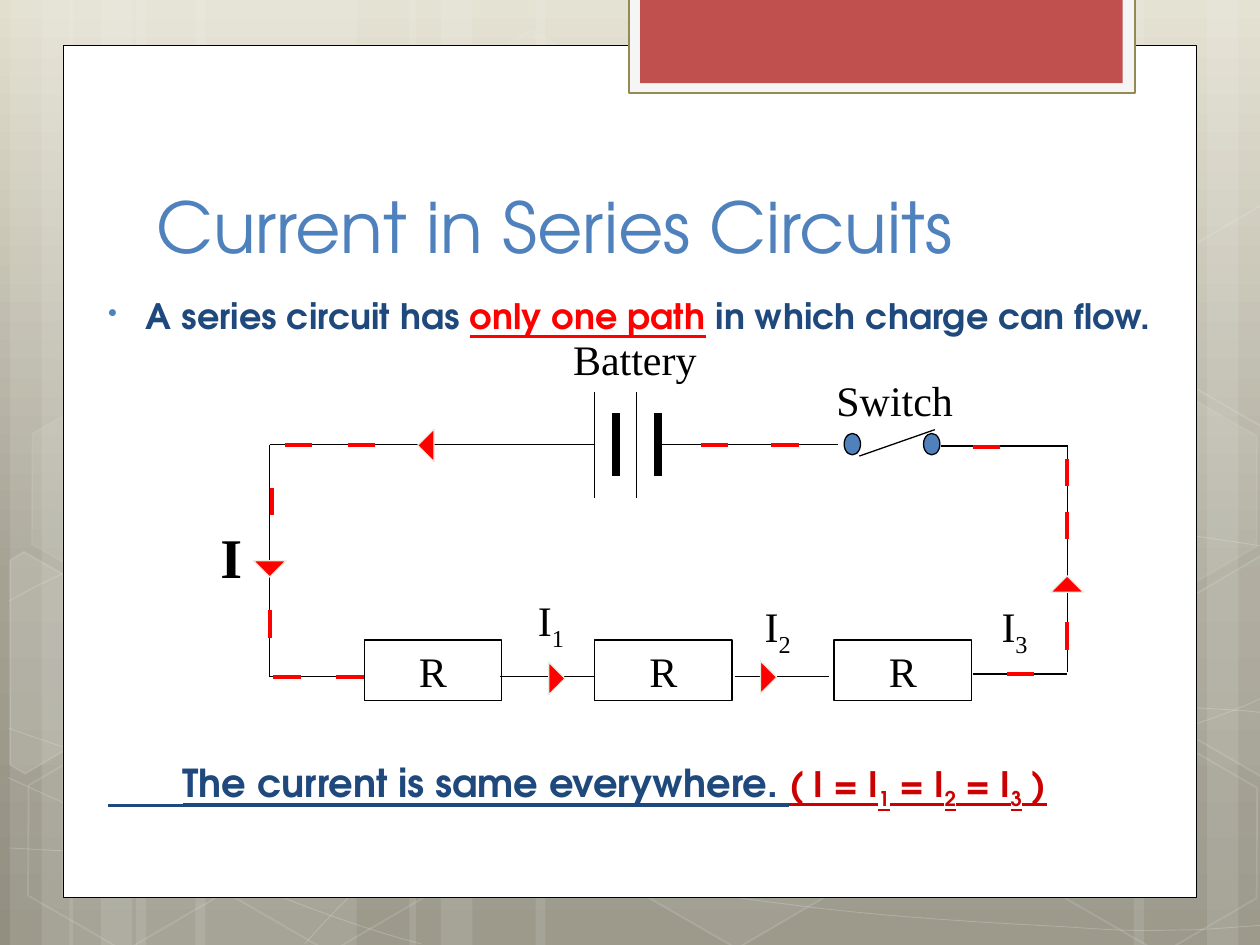
from copy import deepcopy
from pptx import Presentation
from pptx.dml.color import RGBColor
from pptx.enum.shapes import MSO_CONNECTOR, MSO_SHAPE
from pptx.enum.text import MSO_ANCHOR, PP_ALIGN
from pptx.oxml.ns import qn
from pptx.util import Inches, Pt
from lxml import etree

WHITE = RGBColor(0xFF, 0xFF, 0xFF)
BLACK = RGBColor(0, 0, 0)
RED = RGBColor(0xFF, 0, 0)
DARK_RED = RGBColor(0xCC, 0, 0)
BRICK = RGBColor(0xC0, 0x50, 0x4D)
BLUE = RGBColor(0x4F, 0x81, 0xBD)
NAVY = RGBColor(0x1F, 0x49, 0x7D)
OFF_WHITE = RGBColor(0xF5, 0xF5, 0xF5)
OLIVE = RGBColor(0x94, 0x8A, 0x54)
CREAM = RGBColor(0xEE, 0xEC, 0xE1)
SKY = [(0, RGBColor(0xE2, 0xDF, 0xCF)), (62, RGBColor(0xA5, 0xA2, 0x93)),
       (100, RGBColor(0x92, 0x8F, 0x80))]
SANS, SERIF = "TeX Gyre Adventor", "Times New Roman"


def set_alpha(fill, percent):
    clr = fill._xPr.find(".//" + qn("a:srgbClr"))
    etree.SubElement(clr, qn("a:alpha")).set("val", str(percent * 1000))


def paint(sp, fill=None, line=None, width=0.75, fill_alpha=100, line_alpha=100):
    sp.shadow.inherit = False
    for part, color, alpha in ((sp.fill, fill, fill_alpha), (sp.line.fill, line, line_alpha)):
        if color is None:
            part.background()
            continue
        part.solid()
        part.fore_color.rgb = color
        if alpha < 100:
            set_alpha(part, alpha)
    if line is not None:
        sp.line.width = Pt(width)
    return sp


def add_shape(s, kind, x, y, w, h, rotation=0, **look):
    sp = s.shapes.add_shape(kind, Inches(x), Inches(y), Inches(w), Inches(h))
    sp.rotation = rotation
    return paint(sp, **look)


def add_line(s, x1, y1, x2, y2, color=BLACK, width=0.75):
    c = s.shapes.add_connector(MSO_CONNECTOR.STRAIGHT, Inches(x1), Inches(y1),
                               Inches(x2), Inches(y2))
    c.line.color.rgb = color
    c.line.width = Pt(width)
    etree.SubElement(c._element.spPr, qn("a:effectLst"))


def add_outline(s, points, close=False, **look):
    pts = [(Inches(a), Inches(b)) for a, b in points]
    fb = s.shapes.build_freeform(*pts[0])
    fb.add_line_segments(pts[1:], close=close)
    return paint(fb.convert_to_shape(), **look)


def add_curve(s, points, **look):
    """Draw chained cubics: a start, then three points for each piece."""
    sp = add_outline(s, points, **look)
    segments = list(sp._element.iter(qn("a:lnTo")))
    for i in range(0, len(segments), 3):
        bend = etree.Element(qn("a:cubicBezTo"))
        segments[i].addprevious(bend)
        for seg in segments[i:i + 3]:
            bend.append(seg[0])
            seg.getparent().remove(seg)


def add_run(p, text, size=24, font=SERIF, color=BLACK, bold=False, underline=False, sub=False):
    r = p.add_run()
    r.text = text
    f = r.font
    f.size, f.name, f.bold, f.underline = Pt(size), font, bold, underline
    f.color.rgb = color
    if sub:
        r._r.get_or_add_rPr().set("baseline", "-25000")


def add_text(s, x, y, w, h, side=0.1):
    tf = s.shapes.add_textbox(Inches(x), Inches(y), Inches(w), Inches(h)).text_frame
    tf.word_wrap = True
    tf.margin_left = tf.margin_right = Inches(side)
    return tf.paragraphs[0]


def backdrop(s, x, y, w, h):
    # Gradient
    fill = s.background.fill
    fill.gradient()
    fill.gradient_angle = 270
    stops = fill._xPr.find(".//" + qn("a:gsLst"))
    stops.insert(1, deepcopy(stops[0]))
    for stop, (pos, color) in zip(fill.gradient_stops, SKY):
        stop.position = pos / 100
        stop.color.rgb = color
    # Vertical light bands
    for dx, bw in ((1.08, 1.75), (0.08, 0.5), (0.33, 0.83), (1.55, 1.75), (0.55, 0.5),
                   (0.8, 0.83), (7.33, 1.75), (9.58, 0.5), (9, 0.83), (4.25, 3.08),
                   (3.25, 0.5), (3.5, 0.83)):
        add_shape(s, MSO_SHAPE.RECTANGLE, x + dx, y, bw, h, fill=WHITE, fill_alpha=10)
    # Sweeping curves
    sweeps = (
        [(0.07, 6.73), (0.61, 6.76), (1.15, 6.79), (1.9, 6.78), (2.65, 6.77), (3.58, 6.75),
         (4.58, 6.65), (5.58, 6.55), (7, 6.36), (7.92, 6.17), (8.83, 5.98), (9.77, 5.68),
         (10.07, 5.51)],
        [(0.07, 4.77), (0.36, 4.61), (0.65, 4.46), (1.21, 4.31), (1.78, 4.16), (2.59, 3.94),
         (3.47, 3.87), (4.36, 3.8), (5.44, 3.79), (6.54, 3.87), (7.64, 3.95), (9.47, 4.26),
         (10.07, 4.34)],
        [(0.06, 6.17), (1.27, 6.72), (2.47, 7.27), (3.34, 7.49)],
        [(0.07, 5.78), (0.38, 5.89), (0.7, 6), (1.28, 6.16), (1.86, 6.31), (2.73, 6.56),
         (3.57, 6.73), (4.4, 6.9), (5.45, 7.08), (6.28, 7.18), (7.11, 7.29), (8, 7.33),
         (8.53, 7.36), (9.05, 7.4), (9.19, 7.38), (9.45, 7.38), (9.71, 7.37), (9.89, 7.35),
         (10.07, 7.34)],
        [(2.42, 7.49), (2.6, 7.29), (2.78, 7.09), (3.02, 6.91), (3.26, 6.73), (3.6, 6.53),
         (3.88, 6.39), (4.16, 6.25), (4.33, 6.19), (4.7, 6.09), (5.06, 5.99), (5.73, 5.85),
         (6.08, 5.78), (6.44, 5.71), (6.49, 5.71), (6.8, 5.69), (7.11, 5.66), (7.6, 5.63),
         (7.94, 5.62), (8.29, 5.61), (8.86, 5.62), (8.86, 5.62), (9.08, 5.62), (9.3, 5.62),
         (9.53, 5.62), (9.71, 5.63), (9.88, 5.64), (9.97, 5.65), (10.06, 5.66),
         (10.03, 5.65), (10.06, 5.66)])
    for pts in sweeps:
        add_curve(s, [(x + a, y + b) for a, b in pts], line=WHITE, width=0.5, line_alpha=20)
    # Hexagons: left, top, fill opacity, line opacity
    for dx, dy, alpha, edge in ((3.34, 0.36, 4, 8), (4.97, 5.89, 6, 12), (0.11, 5.91, 0, 12),
                                (0.14, 3.12, 7, 8), (1.74, 5.92, 0, 12), (7.53, 4.53, 10, 12),
                                (8.34, 5.93, 0, 12), (8.34, 3.14, 7, 8)):
        sp = add_shape(s, MSO_SHAPE.HEXAGON, x + dx, y + dy, 1.75, 1.52, 30,
                       fill=WHITE if alpha else None, fill_alpha=alpha,
                       line=WHITE, width=1, line_alpha=edge)
        sp.adjustments[0], sp.adjustments[1] = 0.285, 1.155
    # Hexagons cut by the slide edge
    right = [(9.26, 4.85), (10.01, 4.41), (10.09, 4.46), (10.09, 6.13), (10.02, 6.17), (9.26, 5.73)]
    left = [(0.08, 4.45), (0.19, 4.38), (0.96, 4.82), (0.95, 5.7), (0.2, 6.14), (0.08, 6.07)]
    for pts, dy, alpha in ((left, 0, 10), (right, 0, 4), (right, -2.78, 0)):
        add_outline(s, [(x + a, y + b + dy) for a, b in pts], close=True,
                    fill=WHITE if alpha else None, fill_alpha=alpha,
                    line=WHITE, width=1, line_alpha=12)


def card(s, x, y, w, h):
    add_shape(s, MSO_SHAPE.RECTANGLE, x, y, w, h, fill=WHITE, line=BLACK, width=0.5)
    add_shape(s, MSO_SHAPE.RECTANGLE, x + 4.49, y - 0.38, 4.02, 0.76,
              fill=OFF_WHITE, line=OLIVE, width=1.25)
    add_shape(s, MSO_SHAPE.RECTANGLE, x + 4.58, y - 0.38, 3.83, 0.68, fill=BRICK)


def title(s, x, y, w, h):
    sp = s.shapes.title
    sp.left, sp.top, sp.width, sp.height = Inches(x), Inches(y), Inches(w), Inches(h)
    sp.text_frame.vertical_anchor = MSO_ANCHOR.BOTTOM
    p = sp.text_frame.paragraphs[0]
    p.alignment = PP_ALIGN.LEFT
    add_run(p, "Current in Series Circuits", size=40, font=SANS, color=BLUE)
    s.shapes._spTree.append(sp._element)  # in front of the card


def statements(s, x, y, w, h):
    bold = dict(size=20, font=SANS, bold=True)
    # Bulleted opening statement
    p = add_text(s, x, y + 0.01, w, 0.5)
    p.line_spacing = 0.9
    pPr = p._p.get_or_add_pPr()
    pPr.set("marL", str(Inches(0.38)))
    pPr.set("indent", str(Inches(-0.3)))
    clr = etree.SubElement(pPr, qn("a:buClr"))
    etree.SubElement(clr, qn("a:srgbClr")).set("val", str(BLUE))
    etree.SubElement(pPr, qn("a:buSzPct")).set("val", "76000")
    etree.SubElement(pPr, qn("a:buChar")).set("char", "•")
    add_run(p, "A series circuit has ", color=NAVY, **bold)
    add_run(p, "only one path", color=RED, underline=True, **bold)
    add_run(p, " in which charge can flow.", color=NAVY, **bold)
    # Closing statement, its underline drawn out to the margin
    p = add_text(s, x + 0.77, y + h - 0.96, w - 0.77, 0.5, side=0)
    p.line_spacing = 0.9
    add_run(p, "The current is same everywhere. ", color=NAVY, underline=True,
            **{**bold, "size": 22})
    for text in ("( I = I", "1", " = I", "2", " = I", "3", " )"):
        add_run(p, text, color=DARK_RED, underline=True, sub=text.isdigit(), **bold)
    add_line(s, x + 0.18, y + h - 0.56, x + 0.77, y + h - 0.56, NAVY, 1.75)


def circuit(s, x, y, w, h):
    # Resistors
    for dx in (0.75, 2.58, 4.48):
        sp = add_shape(s, MSO_SHAPE.RECTANGLE, x + dx, y + 1.55, 1.09, 0.48, line=BLACK)
        tf = sp.text_frame
        tf.word_wrap = False
        tf.vertical_anchor = MSO_ANCHOR.MIDDLE
        tf.paragraphs[0].alignment = PP_ALIGN.CENTER
        add_run(tf.paragraphs[0], "R")
    # Battery plates, long and short in turn
    for i in range(4):
        px, half, width = x + 2.58 + i / 6, *((0.25, 4.5) if i % 2 else (0.42, 0.75))
        add_line(s, px, y - half, px, y + half, width=width)
    # Wires and the switch lever
    for x1, y1, x2, y2 in ((0, 0, 2.58, 0), (0, 0, 0, h), (0, h, 0.75, h), (1.83, h, 2.58, h),
                           (3.69, h, 4.44, h), (3.08, 0, 4.51, 0), (w, 0, w, 1.8),
                           (5.58, 1.82, w, 1.82), (5.33, 0.01, w, 0.01),
                           (4.68, 0.09, 5.28, -0.12)):
        add_line(s, x + x1, y + y1, x + x2, y + y2)
    # Switch contacts
    for dx in (4.56, 5.19):
        add_shape(s, MSO_SHAPE.OVAL, x + dx, y - 0.09, 0.13, 0.17, fill=BLUE, line=BLACK)
    # Current arrowheads
    for dx, dy, turn in ((-0.13, 0.92, 180), (1.11, -0.06, 270), (2.15, 1.79, 90),
                         (3.83, 1.78, 90), (6.2, 1.04, 0)):
        add_shape(s, MSO_SHAPE.ISOSCELES_TRIANGLE, x + dx, y + dy, 0.26, 0.13, turn,
                  fill=RED, line=CREAM)
    # Moving charge dashes
    across = ((0.12, 0), (0.62, 0), (0.03, h), (0.53, h), (3.42, 0), (3.98, 0),
              (5.58, 0.02), (5.85, 1.82))
    down = ((0.02, 0.34), (0, 1.31), (w, 1.41), (w, 0.53), (w, 0.11))
    for spots, ex, ey in ((across, 0.22, 0), (down, 0, 0.22)):
        for dx, dy in spots:
            add_line(s, x + dx, y + dy, x + dx + ex, y + dy + ey, RED, 2.25)
    # Labels
    for text, sub, dx, dy, lw in (("Battery", "", 2.31, -0.93, 1.52), ("Switch", "", 4.4, -0.61, 1.17),
                                  ("I", "1", 2.03, 1.14, 0.69), ("I", "2", 3.83, 1.19, 0.69),
                                  ("I", "3", 5.71, 1.19, 0.69)):
        p = add_text(s, x + dx, y + dy, lw, 0.5)
        add_run(p, text)
        if sub:
            add_run(p, sub, sub=True)
    add_run(add_text(s, x - 0.49, y + 0.57, 0.48, 0.63), "I", size=32, bold=True)


def main():
    prs = Presentation()
    prs.slide_width, prs.slide_height = Inches(10), Inches(7.5)
    s = prs.slides.add_slide(prs.slide_layouts[5])
    backdrop(s, 0, 0, 10, 7.5)
    card(s, 0.5, 0.36, 9, 6.76)
    statements(s, 0.68, 2.32, 8.75, 4.63)
    circuit(s, 2.14, 3.53, 6.33, 1.84)
    title(s, 1.14, 0.92, 7.68, 1.25)
    prs.save("out.pptx")


if __name__ == "__main__":
    main()
